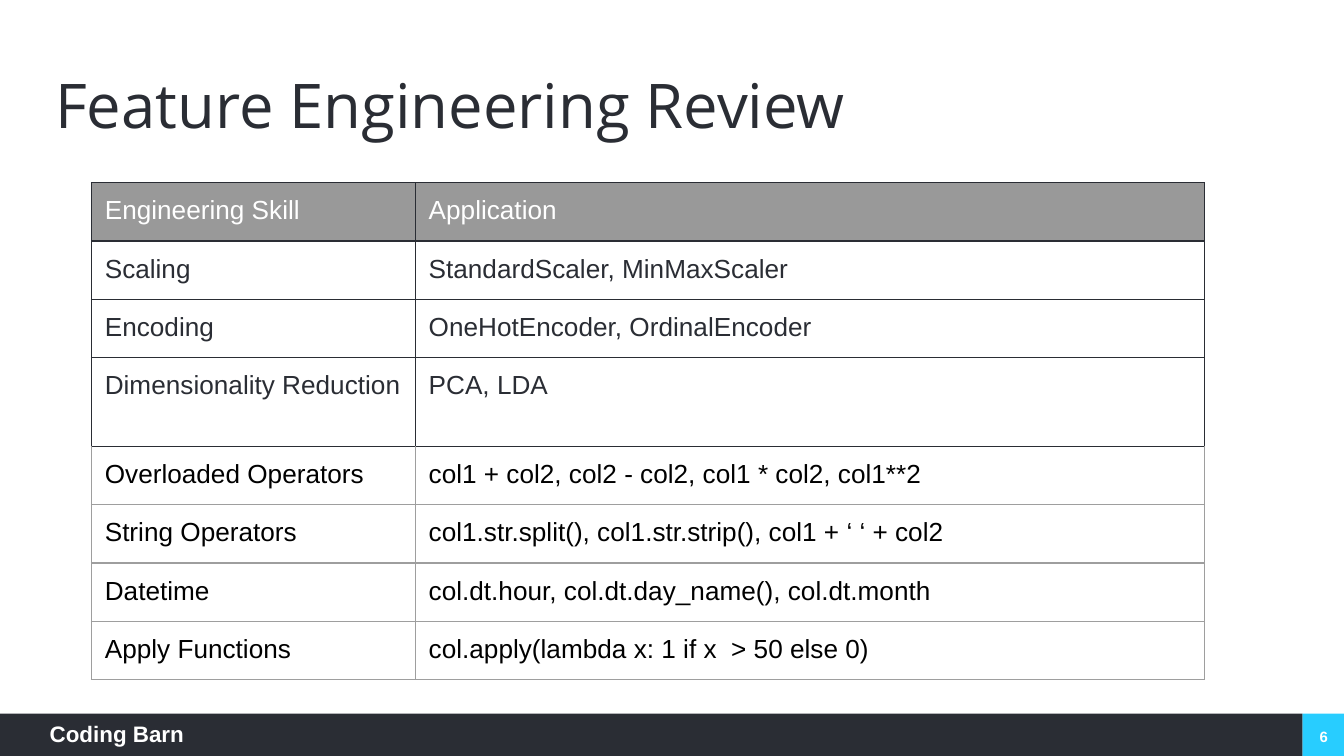
from lxml import etree
from pptx import Presentation
from pptx.dml.color import RGBColor
from pptx.enum.shapes import MSO_SHAPE
from pptx.enum.text import MSO_ANCHOR, PP_ALIGN
from pptx.oxml.ns import qn
from pptx.util import Inches, Pt

RECTANGLE = MSO_SHAPE.RECTANGLE
TOP, MIDDLE = MSO_ANCHOR.TOP, MSO_ANCHOR.MIDDLE
LEFT, CENTER = PP_ALIGN.LEFT, PP_ALIGN.CENTER
WHITE = RGBColor(0xFF, 0xFF, 0xFF)
BLACK = RGBColor(0x00, 0x00, 0x00)
DARK = RGBColor(0x2A, 0x2D, 0x34)
CYAN = RGBColor(0x28, 0xCD, 0xFF)
HEADER_GRAY = RGBColor(0x99, 0x99, 0x99)
BORDER_GRAY = RGBColor(0x9E, 0x9E, 0x9E)


def write_text(text_frame, text, font_format):
    run = text_frame.paragraphs[0].add_run()
    run.text = text
    color = font_format["color"]
    for name, value in font_format.items():
        if name != "color":
            setattr(run.font, name, value)
    run.font.color.rgb = color


def add_border(cell, side, color):
    properties = cell._tc.get_or_add_tcPr()
    line = etree.SubElement(properties, qn(f"a:ln{side}"), w=str(Pt(0.75)))
    fill = etree.SubElement(line, qn("a:solidFill"))
    etree.SubElement(fill, qn("a:srgbClr"), val=str(color))


presentation = Presentation()
presentation.slide_width = Inches(10)
presentation.slide_height = Inches(10) * 9 // 16
slide = presentation.slides.add_slide(presentation.slide_layouts[6])

footer_bars = [(9.69, 0.31, CYAN), (0, 9.69, DARK)]
for left, width, color in footer_bars:
    shape = slide.shapes.add_shape(RECTANGLE, Inches(left), Inches(5.31), Inches(width), Inches(0.31))
    shape.height = presentation.slide_height - shape.top
    shape.shadow.inherit = False
    shape.fill.solid()
    shape.fill.fore_color.rgb = color
    shape.line.fill.background()

footer_font = {"size": Pt(12), "name": "Arial", "bold": True, "color": WHITE}
number_font = {**footer_font, "size": Pt(8)}
title_font = {"size": Pt(33), "name": "Open Sans", "color": DARK}
text_boxes = [
    ("Coding Barn", (0.37, 5.36, 1.57, 0.23), (0, 0), TOP, LEFT, 1, footer_font),
    ("6", (9.7, 5.33, 0.3, 0.3), (0.07, 0.04), MIDDLE, CENTER, 1, number_font),
    ("Feature Engineering Review", (0.34, 0.49, 9.32, 0.63), (0.07, 0.04), MIDDLE, LEFT, 0.9, title_font),
]
for text, box, (side_margin, end_margin), anchor, alignment, spacing, font_format in text_boxes:
    text_frame = slide.shapes.add_textbox(*map(Inches, box)).text_frame
    frame_format = {
        "word_wrap": True,
        "vertical_anchor": anchor,
        "margin_left": Inches(side_margin),
        "margin_right": Inches(side_margin),
        "margin_top": Inches(end_margin),
        "margin_bottom": Inches(end_margin),
    }
    for name, value in frame_format.items():
        setattr(text_frame, name, value)
    paragraph = text_frame.paragraphs[0]
    paragraph.alignment = alignment
    paragraph.line_spacing = spacing
    write_text(text_frame, text, font_format)

skills = [
    ("Engineering Skill", "Application"),
    ("Scaling", "StandardScaler, MinMaxScaler"),
    ("Encoding", "OneHotEncoder, OrdinalEncoder"),
    ("Dimensionality Reduction", "PCA, LDA"),
    ("Overloaded Operators", "col1 + col2, col2 - col2, col1 * col2, col1**2"),
    ("String Operators", "col1.str.split(), col1.str.strip(), col1 + ‘ ‘ + col2"),
    ("Datetime", "col.dt.hour, col.dt.day_name(), col.dt.month"),
    ("Apply Functions", "col.apply(lambda x: 1 if x  > 50 else 0)"),
]
tall_row = 3
first_plain_row = 4
table = slide.shapes.add_table(
    len(skills), 2, Inches(0.68), Inches(1.36), Inches(8.28), Inches(3.7)
).table
table.first_row = False
table.horz_banding = False
for column, width in zip(table.columns, (2.41, 5.87)):
    column.width = Inches(width)

cell_margins = dict.fromkeys(("margin_left", "margin_right", "margin_top", "margin_bottom"), Inches(0.1))
for row_index, row_texts in enumerate(skills):
    table.rows[row_index].height = Inches(0.66 if row_index == tall_row else 0.43)
    if row_index == 0:
        text_color, fill_color = WHITE, HEADER_GRAY
    elif row_index < first_plain_row:
        text_color, fill_color = DARK, WHITE
    else:
        text_color, fill_color = BLACK, None
    border_color = DARK if row_index < first_plain_row else BORDER_GRAY
    top_color = DARK if row_index <= first_plain_row else BORDER_GRAY
    for column_index, text in enumerate(row_texts):
        cell = table.cell(row_index, column_index)
        for name, value in cell_margins.items():
            setattr(cell, name, value)
        for side in "LRTB":
            add_border(cell, side, top_color if side == "T" else border_color)
        if fill_color is None:
            cell.fill.background()
        else:
            cell.fill.solid()
            cell.fill.fore_color.rgb = fill_color
        write_text(cell.text_frame, text, {"size": Pt(14), "name": "Arial", "color": text_color})

presentation.save("out.pptx")
